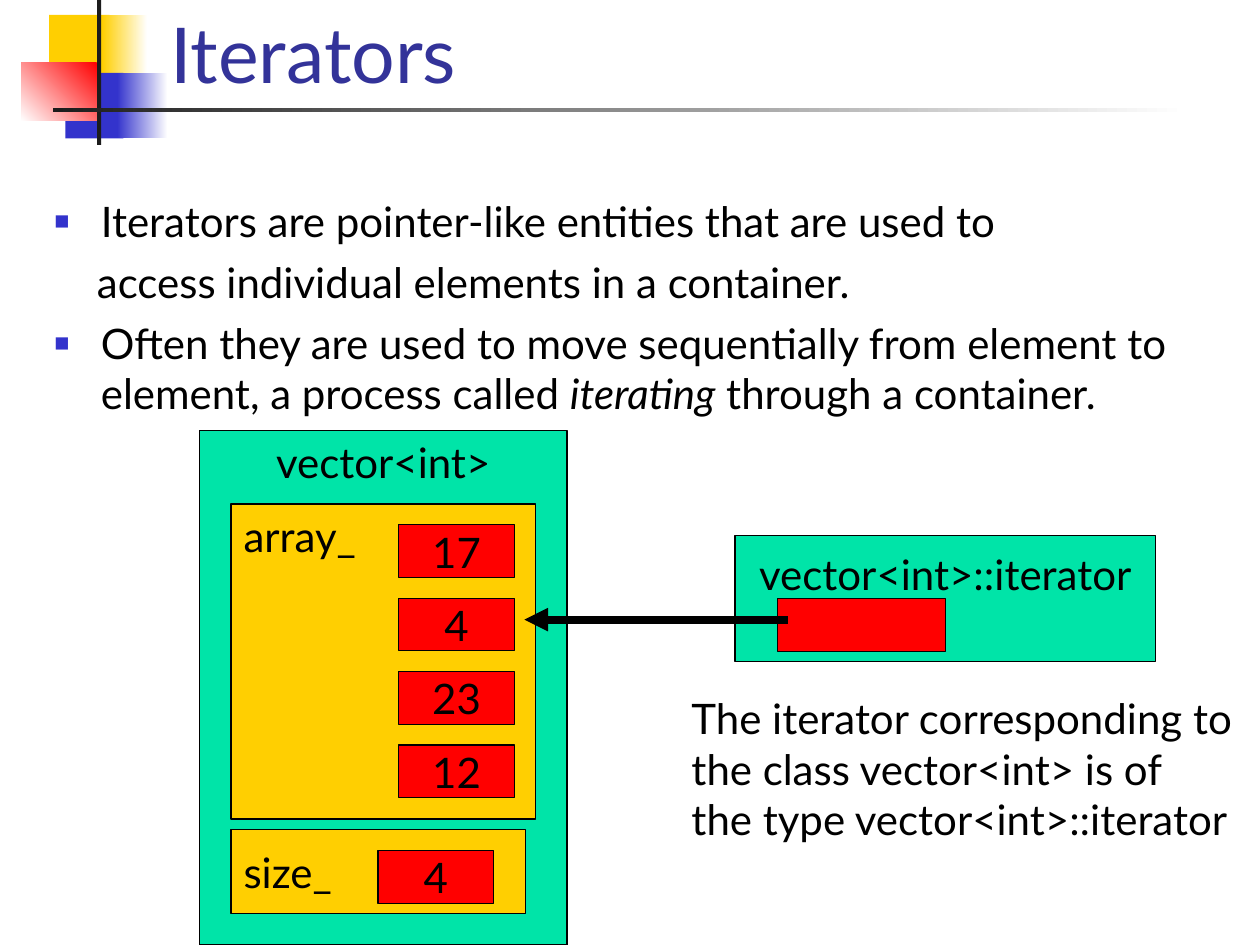
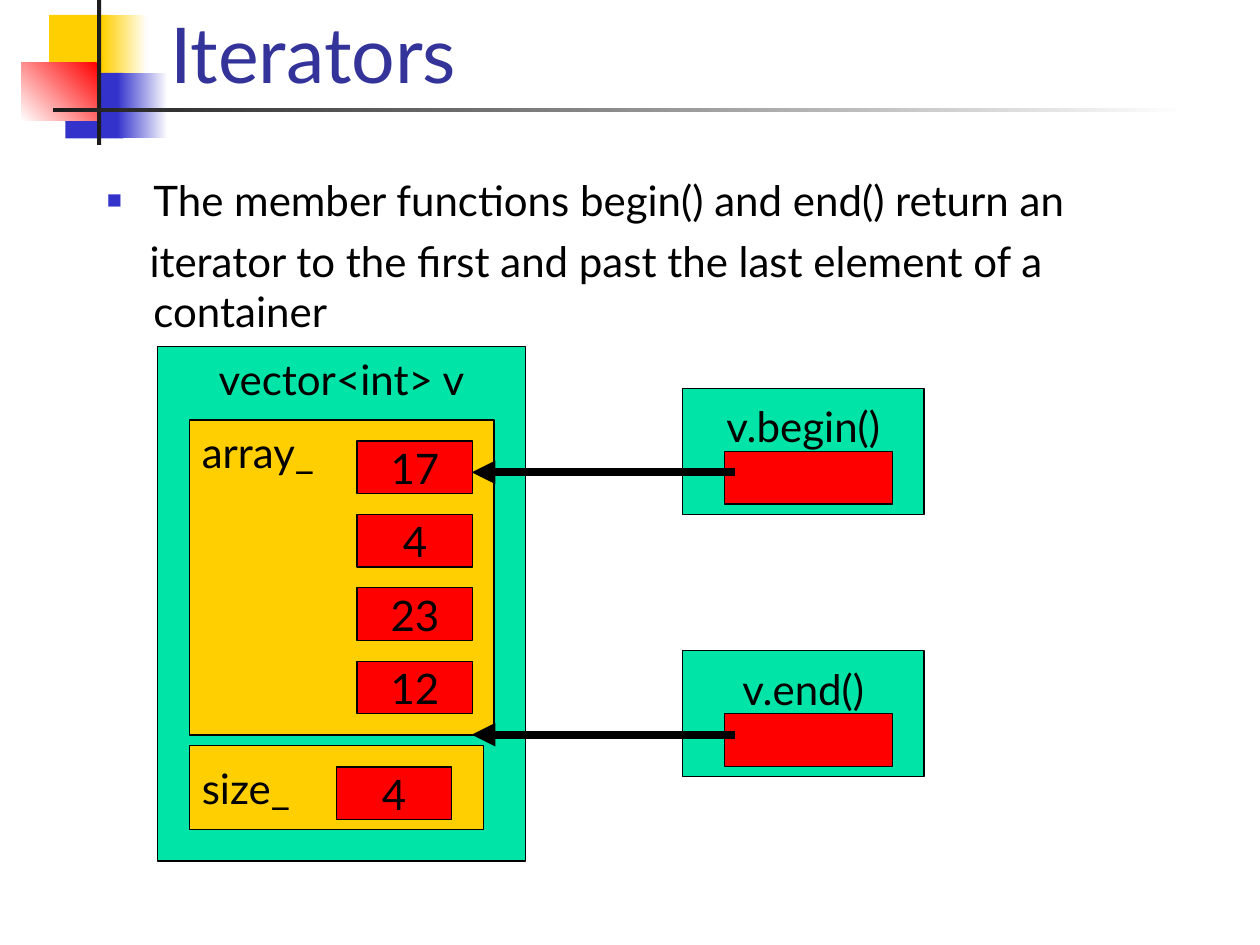
from lxml import etree
from pptx import Presentation
from pptx.dml.color import RGBColor
from pptx.enum.shapes import MSO_CONNECTOR, MSO_SHAPE
from pptx.enum.text import MSO_ANCHOR, MSO_AUTO_SIZE, PP_ALIGN
from pptx.oxml.ns import qn
from pptx.util import Cm, Pt

RECT = MSO_SHAPE.RECTANGLE
STRAIGHT = MSO_CONNECTOR.STRAIGHT
TOP, MIDDLE, BOTTOM = MSO_ANCHOR.TOP, MSO_ANCHOR.MIDDLE, MSO_ANCHOR.BOTTOM
LEFT, CENTER = PP_ALIGN.LEFT, PP_ALIGN.CENTER
NO_AUTOFIT = MSO_AUTO_SIZE.NONE

FONT = "Lato"
BLACK, WHITE, DARK = "000000", "FFFFFF", "1C1C1C"
YELLOW, BLUE, RED, GREEN = "FFCF01", "3333CC", "FF0000", "00E4A8"
TITLE_COLOR = "333399"

CELL_W, CELL_H = 2.33, 1.06
CELL_PITCH = 1.48
VALUES = [17, 4, 23, 12]

# left, top, width, height, then one colour or (start, end, angle)
DECORATIONS = [
    (0.99, 0.3, 1.22, 1.32, YELLOW),
    (2.06, 0.3, 0.91, 1.32, (WHITE, YELLOW, 180)),
    (1.32, 1.47, 1.17, 1.32, BLUE),
    (2.36, 1.47, 1.02, 1.32, (WHITE, BLUE, 180)),
    (0.43, 1.27, 1.55, 1.17, (RED, WHITE, 225)),
    (1.96, 0, 0.08, 2.92, DARK),
    (1.07, 2.18, 22.86, 0.08, (WHITE, DARK, 180)),
]


def rgb(color):
    return RGBColor.from_string(color)


def set_attrs(target, values):
    for name, value in values.items():
        setattr(target, name, value)


def place(sp, left, top, width, height):
    set_attrs(sp, {"left": Cm(left), "top": Cm(top),
                   "width": Cm(width), "height": Cm(height)})


def add_run(p, text, size=24, color=BLACK, italic=False):
    r = p.add_run()
    r.text = text
    set_attrs(r.font, {"name": FONT, "size": Pt(size), "italic": italic})
    r.font.color.rgb = rgb(color)


def add_rect(slide, left, top, width, height):
    sp = slide.shapes.add_shape(RECT, Cm(left), Cm(top), Cm(width), Cm(height))
    sp.shadow.inherit = False
    return sp


def add_box(slide, left, top, width, height, color, text="",
            align=CENTER, anchor=MIDDLE, pad_top=0.13):
    """Add an outlined rectangle with an optional label."""
    sp = add_rect(slide, left, top, width, height)
    sp.fill.solid()
    sp.fill.fore_color.rgb = rgb(color)
    sp.line.color.rgb = rgb(BLACK)
    sp.line.width = Pt(0.75)
    if text:
        tf = sp.text_frame
        set_attrs(tf, {"word_wrap": True, "vertical_anchor": anchor,
                       "margin_top": Cm(pad_top)})
        p = tf.paragraphs[0]
        p.alignment = align
        add_run(p, text)


def add_arrow(slide, x1, x2, y):
    cx = slide.shapes.add_connector(STRAIGHT, Cm(x1), Cm(y), Cm(x2), Cm(y))
    cx.line.color.rgb = rgb(BLACK)
    cx.line.width = Pt(4.5)
    sp_pr = cx.element.find(qn("p:spPr"))
    etree.SubElement(sp_pr.find(qn("a:ln")), qn("a:tailEnd"), type="triangle")
    etree.SubElement(sp_pr, qn("a:effectLst"))


def decorate_layout(slide):
    """Draw the corner blocks and rules, and move them to the slide's layout."""
    tree = slide.slide_layout.shapes.element
    for index, (*box, color) in enumerate(DECORATIONS):
        sp = add_rect(slide, *box)
        sp.line.fill.background()
        if isinstance(color, str):
            sp.fill.solid()
            sp.fill.fore_color.rgb = rgb(color)
        else:
            *stops, angle = color
            sp.fill.gradient()
            sp.fill.gradient_angle = angle
            for stop, stop_color in zip(sp.fill.gradient_stops, stops):
                stop.color.rgb = rgb(stop_color)
        tree.insert(2 + index, sp.element)


def set_bullet(p, shown):
    p_pr = p._p.get_or_add_pPr()
    p_pr.set("marL", str(Cm(0.94)))
    p_pr.set("indent", str(Cm(-0.94 if shown else -0.08)))
    if not shown:
        etree.SubElement(p_pr, qn("a:buNone"))
        return
    bu_clr = etree.SubElement(p_pr, qn("a:buClr"))
    etree.SubElement(bu_clr, qn("a:srgbClr"), val=BLUE)
    etree.SubElement(p_pr, qn("a:buSzPct"), val="60000")
    etree.SubElement(p_pr, qn("a:buChar"), char="■")


def fill_title(slide, text):
    title = slide.shapes.title
    place(title, 3.18, 0, 21.64, 2.12)
    set_attrs(title.text_frame, {"vertical_anchor": BOTTOM,
                                 "auto_size": NO_AUTOFIT})
    p = title.text_frame.paragraphs[0]
    p.alignment = LEFT
    add_run(p, text, 44, TITLE_COLOR)


def fill_body(slide, box, items):
    """Fill the list; each item is (bulleted, plain and italic runs in turn)."""
    body = slide.placeholders[1]
    place(body, *box)
    tf = body.text_frame
    set_attrs(tf, {"vertical_anchor": TOP, "auto_size": NO_AUTOFIT})
    for index, (bulleted, *runs) in enumerate(items):
        p = tf.add_paragraph() if index else tf.paragraphs[0]
        p.space_before = Pt(6)
        set_bullet(p, bulleted)
        for number, text in enumerate(runs):
            add_run(p, text, italic=number % 2 == 1)


def draw_vector(slide, left, top, name):
    """Draw the vector object with its array of values and its size."""
    add_box(slide, left, top, 7.41, 10.37, GREEN, name, anchor=TOP)
    add_box(slide, left + 0.64, top + 1.48, 6.14, 6.35, YELLOW, "array_",
            LEFT, TOP)
    for row, value in enumerate(VALUES):
        add_box(slide, left + 4.02, top + 1.9 + row * CELL_PITCH,
                CELL_W, CELL_H, RED, str(value))
    add_box(slide, left + 0.64, top + 8.04, 5.93, 1.69, YELLOW, "size_", LEFT)
    add_box(slide, left + 3.6, top + 8.47, CELL_W, CELL_H, RED,
            str(len(VALUES)))


def draw_iterator(slide, left, top, width, name):
    """Draw an iterator object whose arrow points left into the array."""
    add_box(slide, left, top, width, 2.54, GREEN, name, anchor=TOP,
            pad_top=0.25)
    add_box(slide, left + 0.85, top + 1.27, 3.39, CELL_H, RED)
    add_arrow(slide, left + 1.06, left - 4.25, top + 1.69)


def add_note(slide, left, top, width, height, lines):
    sp = slide.shapes.add_textbox(Cm(left), Cm(top), Cm(width), Cm(height))
    tf = sp.text_frame
    tf.word_wrap = True
    for index, line in enumerate(lines):
        add_run(tf.add_paragraph() if index else tf.paragraphs[0], line)


def add_slide(prs, body_box, items):
    slide = prs.slides.add_slide(prs.slide_layouts[1])
    fill_title(slide, "Iterators")
    fill_body(slide, body_box, items)
    return slide


def build_concept_slide(prs):
    slide = add_slide(prs, (0.84, 3.81, 24.03, 13.23), [
        (True, "Iterators are pointer-like entities that are used to"),
        (False, "access individual elements in a container."),
        (True, "Often they are used to move sequentially from element to "
               "element, a process called ", "iterating",
         " through a container."),
    ])
    draw_vector(slide, 4.02, 8.68, "vector<int>")
    draw_iterator(slide, 14.82, 10.8, 8.47, "vector<int>::iterator")
    add_note(slide, 13.69, 13.84, 11.68, 3.3, [
        "The iterator corresponding to",
        "the class vector<int> is of",
        "the type vector<int>::iterator",
    ])
    return slide


def build_begin_end_slide(prs):
    slide = add_slide(prs, (1.9, 3.39, 21.59, 11.43), [
        (True, "The member functions begin() and end() return an"),
        (False, "iterator to the first and past the last element of a "
                "container"),
    ])
    draw_vector(slide, 3.18, 6.99, "vector<int> v")
    draw_iterator(slide, 13.76, 13.12, 4.87, "v.end()")
    draw_iterator(slide, 13.76, 7.83, 4.87, "v.begin()")


def main():
    prs = Presentation()
    set_attrs(prs, {"slide_width": Cm(25.4), "slide_height": Cm(19.05)})
    decorate_layout(build_concept_slide(prs))
    build_begin_end_slide(prs)
    prs.save("out.pptx")


if __name__ == "__main__":
    main()
